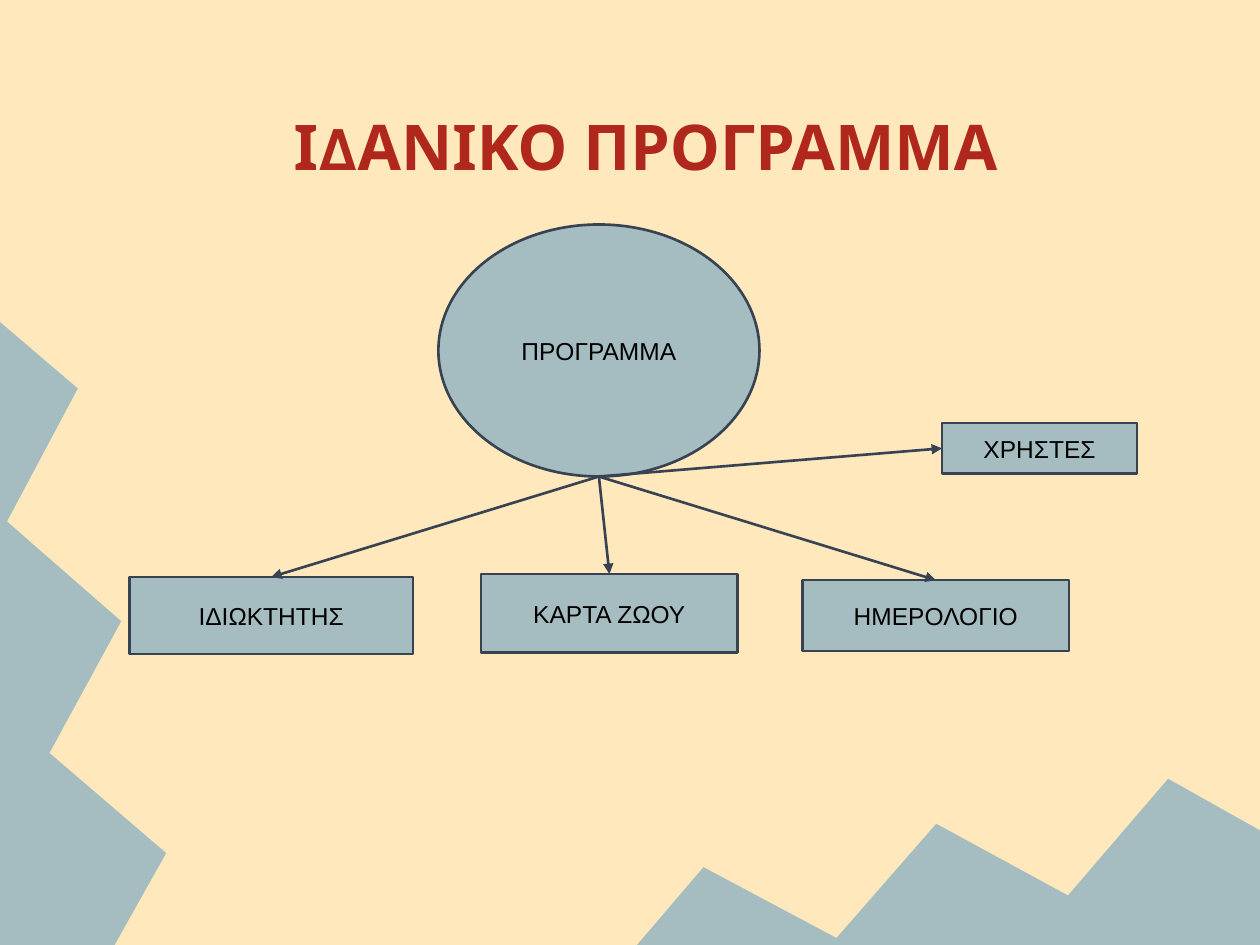
from dataclasses import dataclass

from lxml.etree import SubElement
from pptx import Presentation
from pptx.dml.color import RGBColor as RGB
from pptx.enum.shapes import MSO_CONNECTOR as CXN, MSO_SHAPE as SHAPE
from pptx.enum.text import MSO_ANCHOR as ANCHOR, MSO_AUTO_SIZE as AUTO, PP_ALIGN as ALIGN
from pptx.oxml.ns import qn
from pptx.util import Pt


@dataclass(frozen=True)
class Theme:
    back: str = "FFE8BB"
    fill: str = "A5BDC0"
    line: str = "374252"
    title: str = "B0271C"
    text: str = "000000"
    title_font: str = "Karla"
    body_font: str = "Arial"
    title_size: float = 36
    body_size: float = 14
    line_width: float = 1.5
    inset: float = 7.2


def write(sp, text, *, font, size, color, bold=False, anchor=ANCHOR.MIDDLE, inset=7.2, indent=0):
    tf = sp.text_frame
    tf.word_wrap = True
    tf.auto_size = AUTO.NONE
    tf.vertical_anchor = anchor
    tf.margin_left = tf.margin_right = tf.margin_top = tf.margin_bottom = Pt(inset)
    p = tf.paragraphs[0]
    p.alignment = ALIGN.CENTER
    if indent:
        pPr = p._p.get_or_add_pPr()
        pPr.set("marL", "0")
        pPr.set("indent", str(Pt(indent)))
    r = p.add_run()
    r.text = text
    r.font.name = font
    r.font.size = Pt(size)
    r.font.bold = bold
    r.font.color.rgb = RGB.from_string(color)


class Deck:
    def __init__(self, theme, width, height):
        self.theme = theme
        self.prs = Presentation()
        self.prs.slide_width, self.prs.slide_height = Pt(width), Pt(height)
        self.s = None

    def slide(self):
        self.s = self.prs.slides.add_slide(self.prs.slide_layouts[5])
        fill = self.s.background.fill
        fill.solid()
        fill.fore_color.rgb = RGB.from_string(self.theme.back)

    def paint(self, sp):
        sp.shadow.inherit = False
        sp.fill.solid()
        sp.fill.fore_color.rgb = RGB.from_string(self.theme.fill)

    def stroke(self, line):
        line.color.rgb = RGB.from_string(self.theme.line)
        line.width = Pt(self.theme.line_width)

    def title(self, text, x, y, w, h):
        t = self.theme
        sp = self.s.shapes.title
        sp.left, sp.top, sp.width, sp.height = Pt(x), Pt(y), Pt(w), Pt(h)
        write(sp, text, font=t.title_font, size=t.title_size, color=t.title, bold=True,
              anchor=ANCHOR.BOTTOM, inset=t.inset, indent=18)

    def polygon(self, points):
        pts = [(Pt(x), Pt(y)) for x, y in points]
        fb = self.s.shapes.build_freeform(*pts[0])
        fb.add_line_segments(pts[1:], close=True)
        sp = fb.convert_to_shape()
        self.paint(sp)
        sp.line.fill.background()

    def node(self, text, x, y, w, h, kind=SHAPE.RECTANGLE):
        t = self.theme
        sp = self.s.shapes.add_shape(kind, Pt(x), Pt(y), Pt(w), Pt(h))
        self.paint(sp)
        self.stroke(sp.line)
        write(sp, text, font=t.body_font, size=t.body_size, color=t.text, inset=t.inset)
        return sp

    def arrow(self, start, target, site):
        c = self.s.shapes.add_connector(CXN.STRAIGHT, *start, *start)
        c.end_connect(target, site)
        self.stroke(c.line)
        SubElement(c.line._get_or_add_ln(), qn("a:tailEnd"), type="triangle")
        SubElement(c._element.spPr, qn("a:effectLst"))


def main():
    width, height = 720, 540
    deck = Deck(Theme(), width, height)
    deck.slide()

    ridge = [(0, 184), (0, 540), (65.5, 540), (95, 487.5), (28.3, 430.3),
             (69.3, 355), (4, 298), (44.5, 222)]
    deck.polygon(ridge)
    deck.polygon([(y + width - height, height - x) for x, y in ridge])
    deck.title("ΙΔΑΝΙΚΟ ΠΡΟΓΡΑΜΜΑ", 36, 21.6, 648, 90)

    hub = deck.node("ΠΡΟΓΡΑΜΜΑ", 250.5, 128.3, 183.5, 144, SHAPE.OVAL)
    start = hub.left + hub.width // 2, hub.top + hub.height
    for text, x, y, w, h, site in [
        ("ΙΔΙΩΚΤΗΤΗΣ", 74, 329.7, 162, 44, 0),
        ("ΚΑΡΤΑ ΖΩΟΥ", 275, 328, 146.5, 45, 0),
        ("ΗΜΕΡΟΛΟΓΙΟ", 458.5, 331.5, 152.5, 40.5, 0),
        ("ΧΡΗΣΤΕΣ", 538.3, 241.7, 111.5, 29, 1),
    ]:
        deck.arrow(start, deck.node(text, x, y, w, h), site)

    deck.prs.save("out.pptx")


if __name__ == "__main__":
    main()
